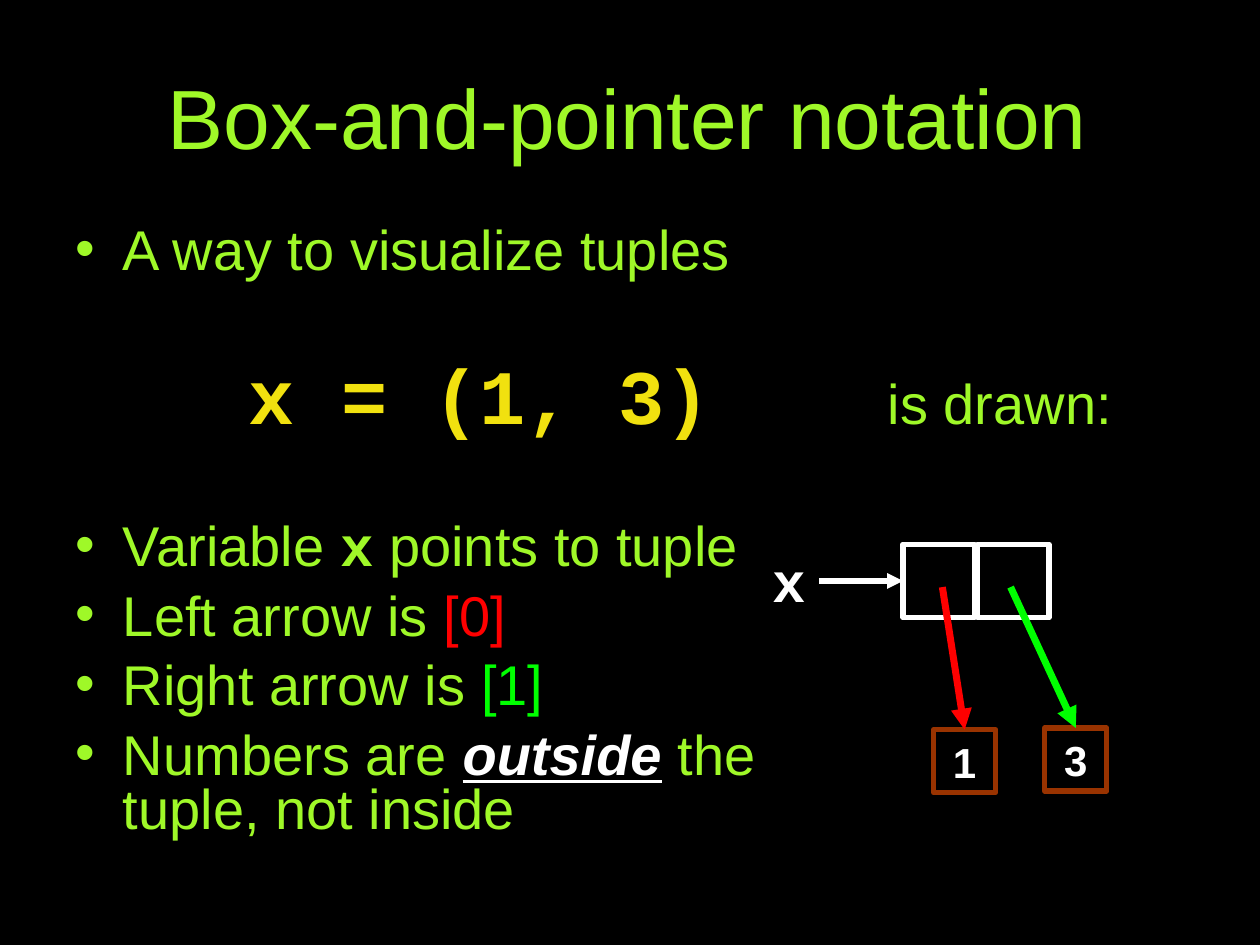
import pptx
import pptx.dml.color
import pptx.enum.shapes
import pptx.enum.text
import pptx.oxml
import pptx.oxml.ns
import pptx.util

Pt = pptx.util.Pt
ALIGN = pptx.enum.text.PP_ALIGN
MIDDLE = pptx.enum.text.MSO_ANCHOR.MIDDLE

LIME, YELLOW, WHITE = "9FF828", "F1E10F", "FFFFFF"
RED, GREEN, BROWN, BLACK = "FF0000", "00FF00", "993300", "000000"
SANS, MONO = "Arial", "Courier New"

TOP, LEFT, RIGHT = 0, 1, 3  # connection sites of a rectangle
BULLET_GAP = 9
CODE_GAP = 48  # space around the code line
CODE_TABS = (102, 467)


def rgb(hex_color):
    return pptx.dml.color.RGBColor.from_string(hex_color)


def add_xml(parent, tag, content="", **attributes):
    attrs = " ".join(f'{key}="{value}"' for key, value in attributes.items())
    element = pptx.oxml.parse_xml(
        f"<a:{tag} {pptx.oxml.ns.nsdecls('a')} {attrs}>{content}</a:{tag}>")
    parent.append(element)


def add_run(paragraph, text, size=32, color=LIME, font=SANS, bold=False, emphasis=False):
    run = paragraph.add_run()
    run.text = text
    run.font.size = Pt(size)
    run.font.name = font
    run.font.bold = bold
    run.font.color.rgb = rgb(color)
    if emphasis:
        run.font.italic = run.font.underline = True


def add_text_box(slide, left, top, width, height, wrap=True):
    box = slide.shapes.add_textbox(Pt(left), Pt(top), Pt(width), Pt(height))
    box.text_frame.word_wrap = wrap
    return box


def set_body_insets(frame):
    frame.margin_left = frame.margin_top = frame.margin_bottom = Pt(4.3)
    frame.margin_right = Pt(7.2)


def add_title(slide, text):
    frame = add_text_box(slide, 36, 5, 648, 123).text_frame
    set_body_insets(frame)
    frame.vertical_anchor = MIDDLE
    frame.paragraphs[0].alignment = ALIGN.CENTER
    add_run(frame.paragraphs[0], text, 48)


def space(paragraph, before):
    paragraph.line_spacing = 0.8
    paragraph.space_before = Pt(before)


def format_bullet(paragraph, before=BULLET_GAP):
    space(paragraph, before)
    properties = paragraph._p.get_or_add_pPr()
    properties.set("marL", str(Pt(30)))
    properties.set("indent", str(Pt(-27)))
    add_xml(properties, "buClr", f'<a:srgbClr val="{LIME}"/>')
    add_xml(properties, "buFont", typeface=SANS)
    add_xml(properties, "buChar", char="•")


def format_code_line(paragraph):
    space(paragraph, CODE_GAP)
    stops = "".join(f'<a:tab pos="{int(Pt(stop))}" algn="l"/>' for stop in CODE_TABS)
    add_xml(paragraph._p.get_or_add_pPr(), "tabLst", stops)


def add_explanation(slide):
    frame = add_text_box(slide, 36, 126, 626, 376).text_frame
    set_body_insets(frame)

    purpose = frame.paragraphs[0]
    format_bullet(purpose)
    add_run(purpose, "A way to visualize tuples")

    code = frame.add_paragraph()
    format_code_line(code)
    add_run(code, "\tx = (1, 3)", 44, YELLOW, MONO, bold=True)
    add_run(code, "\tis drawn:")

    variable = frame.add_paragraph()
    format_bullet(variable, CODE_GAP)
    add_run(variable, "Variable ")
    add_run(variable, "x", font=MONO, bold=True)
    add_run(variable, " points to tuple")

    for side, index, color in (("Left", "[0]", RED), ("Right", "[1]", GREEN)):
        arrow_note = frame.add_paragraph()
        format_bullet(arrow_note)
        add_run(arrow_note, f"{side} arrow is ")
        add_run(arrow_note, index, color=color)

    numbers = frame.add_paragraph()
    format_bullet(numbers)
    add_run(numbers, "Numbers are ")
    add_run(numbers, "outside", color=WHITE, bold=True, emphasis=True)
    add_run(numbers, " the")
    numbers.add_line_break()
    add_run(numbers, "tuple, not inside")


def add_square(slide, left, top, width, height, color, text=""):
    square = slide.shapes.add_shape(
        pptx.enum.shapes.MSO_SHAPE.RECTANGLE, Pt(left), Pt(top), Pt(width), Pt(height))
    square.shadow.inherit = False
    square.fill.background()
    square.line.color.rgb = rgb(color)
    square.line.width = Pt(3)
    if text:
        square.text_frame.vertical_anchor = MIDDLE
        square.text_frame.paragraphs[0].alignment = ALIGN.CENTER
        add_run(square.text_frame.paragraphs[0], text, 24, WHITE, bold=True)
    return square


def add_arrow(slide, start, target, target_side, color, width):
    """Draw an arrow from a point to the middle of one side of target."""
    x, y = map(Pt, start)
    arrow = slide.shapes.add_connector(
        pptx.enum.shapes.MSO_CONNECTOR.STRAIGHT, x, y, x, y)
    arrow.end_connect(target, target_side)
    arrow.line.color.rgb = rgb(color)
    arrow.line.width = Pt(width)
    add_xml(arrow.line._get_or_add_ln(), "tailEnd", type="triangle")
    add_xml(arrow._element.spPr, "effectLst")
    return arrow


def add_tuple_diagram(slide):
    cells = [add_square(slide, 516 + 42.5 * i, 311, 41, 42, WHITE) for i in range(2)]

    variable = add_text_box(slide, 434, 309, 34, 46, wrap=False)
    variable.text_frame.paragraphs[0].alignment = ALIGN.CENTER
    add_run(variable.text_frame.paragraphs[0], "x", 32, WHITE, MONO, bold=True)

    first = add_square(slide, 533.5, 417, 35.5, 36, BROWN, "1")
    second = add_square(slide, 597, 416, 35.5, 36, BROWN, "3")

    pointer = add_arrow(slide, (468, 332), cells[0], LEFT, WHITE, 3)
    pointer.begin_connect(variable, RIGHT)
    add_arrow(slide, (538.5, 335.5), first, TOP, RED, 4)
    add_arrow(slide, (577.5, 335.5), second, TOP, GREEN, 4)


def main():
    presentation = pptx.Presentation()
    presentation.slide_width = Pt(720)
    presentation.slide_height = Pt(540)
    slide = presentation.slides.add_slide(presentation.slide_layouts[6])
    slide.background.fill.solid()
    slide.background.fill.fore_color.rgb = rgb(BLACK)
    add_title(slide, "Box-and-pointer notation")
    add_explanation(slide)
    add_tuple_diagram(slide)
    presentation.save("out.pptx")


if __name__ == "__main__":
    main()
